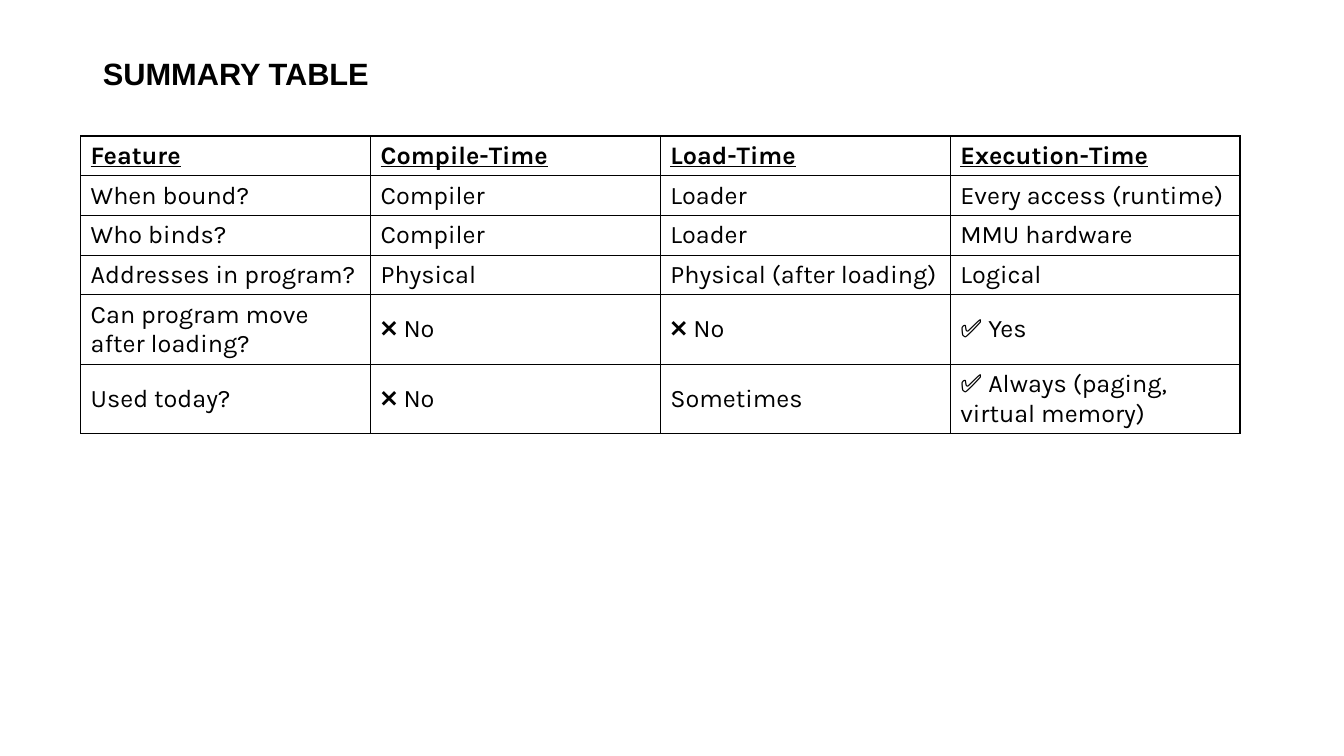
from pptx import Presentation
from pptx.dml.color import RGBColor
from pptx.enum.text import MSO_ANCHOR, MSO_AUTO_SIZE, PP_ALIGN
from pptx.oxml import parse_xml
from pptx.oxml.ns import nsdecls
from pptx.util import Inches, Pt

COLORS = {"ink": "000000", "paper": "FFFFFF"}
ROWS = [
    ["Feature", "Compile-Time", "Load-Time", "Execution-Time"],
    ["When bound?", "Compiler", "Loader", "Every access (runtime)"],
    ["Who binds?", "Compiler", "Loader", "MMU hardware"],
    ["Addresses in program?", "Physical", "Physical (after loading)", "Logical"],
    ["Can program move after loading?", "❌ No", "❌ No", "✅ Yes"],
    ["Used today?", "❌ No", "Sometimes", "✅ Always (paging, virtual memory)"],
]
ROW_HEIGHTS = [0.39] * 4 + [0.69] * 2


def style_font(font, name, size, bold):
    font.name = name
    font.size = Pt(size)
    font.bold = bold
    font.color.rgb = RGBColor.from_string(COLORS["ink"])


def add_borders(cell):
    properties = cell._tc.get_or_add_tcPr()
    for position, side in enumerate(("lnL", "lnR", "lnT", "lnB")):
        properties.insert(position, parse_xml(
            f'<a:{side} {nsdecls("a")} w="{Pt(1)}"><a:solidFill>'
            f'<a:srgbClr val="{COLORS["ink"]}"/></a:solidFill></a:{side}>'))


presentation = Presentation()
presentation.slide_width = Inches(13.33)
presentation.slide_height = Inches(7.5)
slide = presentation.slides.add_slide(presentation.slide_layouts[5])

title = slide.shapes.title
title.left, title.top = Inches(0.92), Inches(0.49)
title.width, title.height = Inches(2.87), Inches(0.77)
title_frame = title.text_frame
title_frame.text = "SUMMARY TABLE"
title_frame.word_wrap = False
title_frame.auto_size = MSO_AUTO_SIZE.NONE
title_frame.vertical_anchor = MSO_ANCHOR.TOP
title_frame.paragraphs[0].alignment = PP_ALIGN.LEFT
style_font(title_frame.paragraphs[0].runs[0].font, "Arial", 22, True)

table = slide.shapes.add_table(
    len(ROWS), len(ROWS[0]), Inches(0.8), Inches(1.35),
    Inches(11.5), Inches(sum(ROW_HEIGHTS))).table
table.horz_banding = False
for column in table.columns:
    column.width = Inches(11.5 / len(ROWS[0]))

for row_index, (texts, height) in enumerate(zip(ROWS, ROW_HEIGHTS)):
    table.rows[row_index].height = Inches(height)
    is_header = row_index == 0
    for column_index, text in enumerate(texts):
        cell = table.cell(row_index, column_index)
        cell.text_frame.text = text
        cell.vertical_anchor = MSO_ANCHOR.MIDDLE
        cell.fill.solid()
        cell.fill.fore_color.rgb = RGBColor.from_string(COLORS["paper"])
        add_borders(cell)
        font = cell.text_frame.paragraphs[0].runs[0].font
        style_font(font, "Karla", 18, is_header)
        font.underline = is_header

presentation.save("out.pptx")
